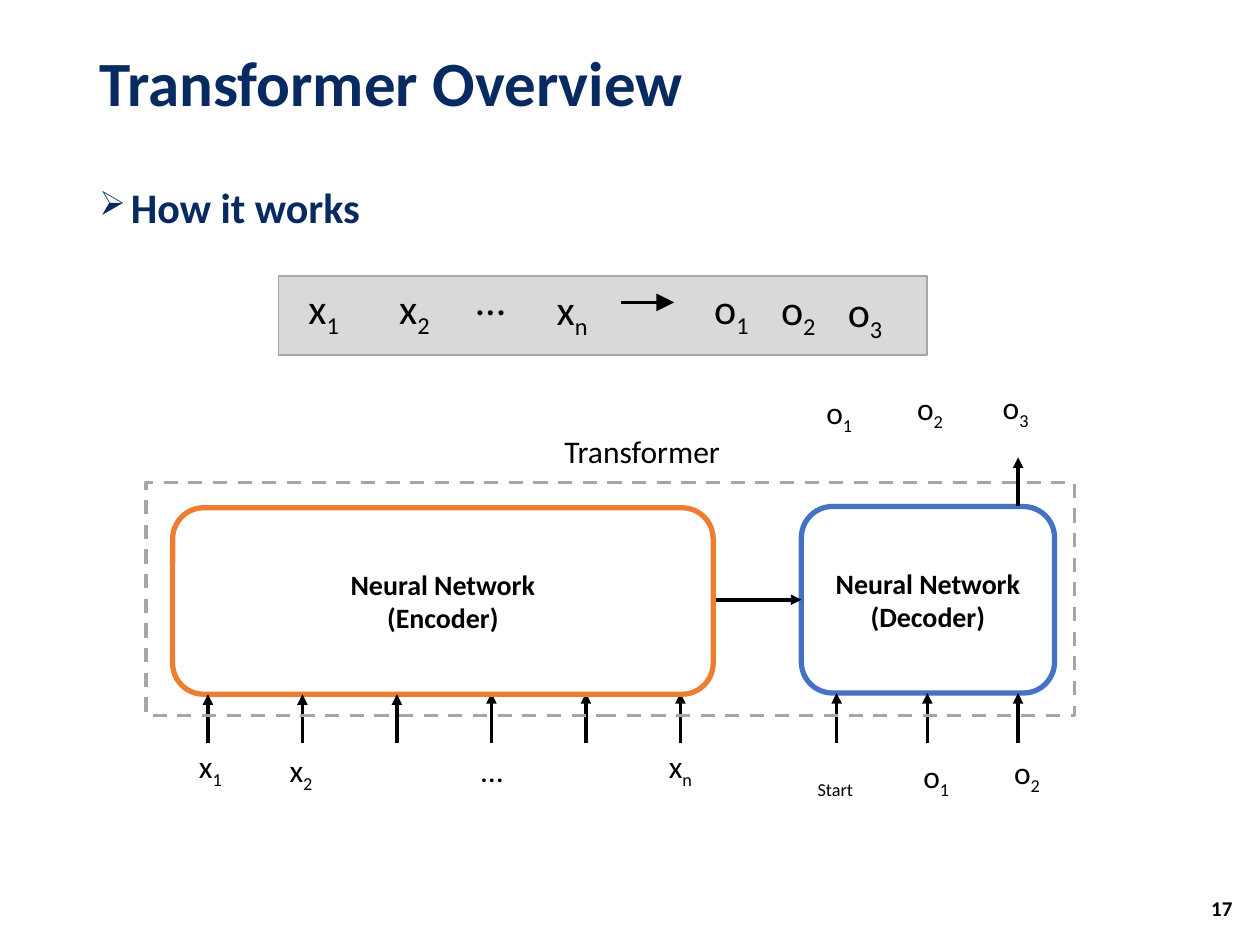
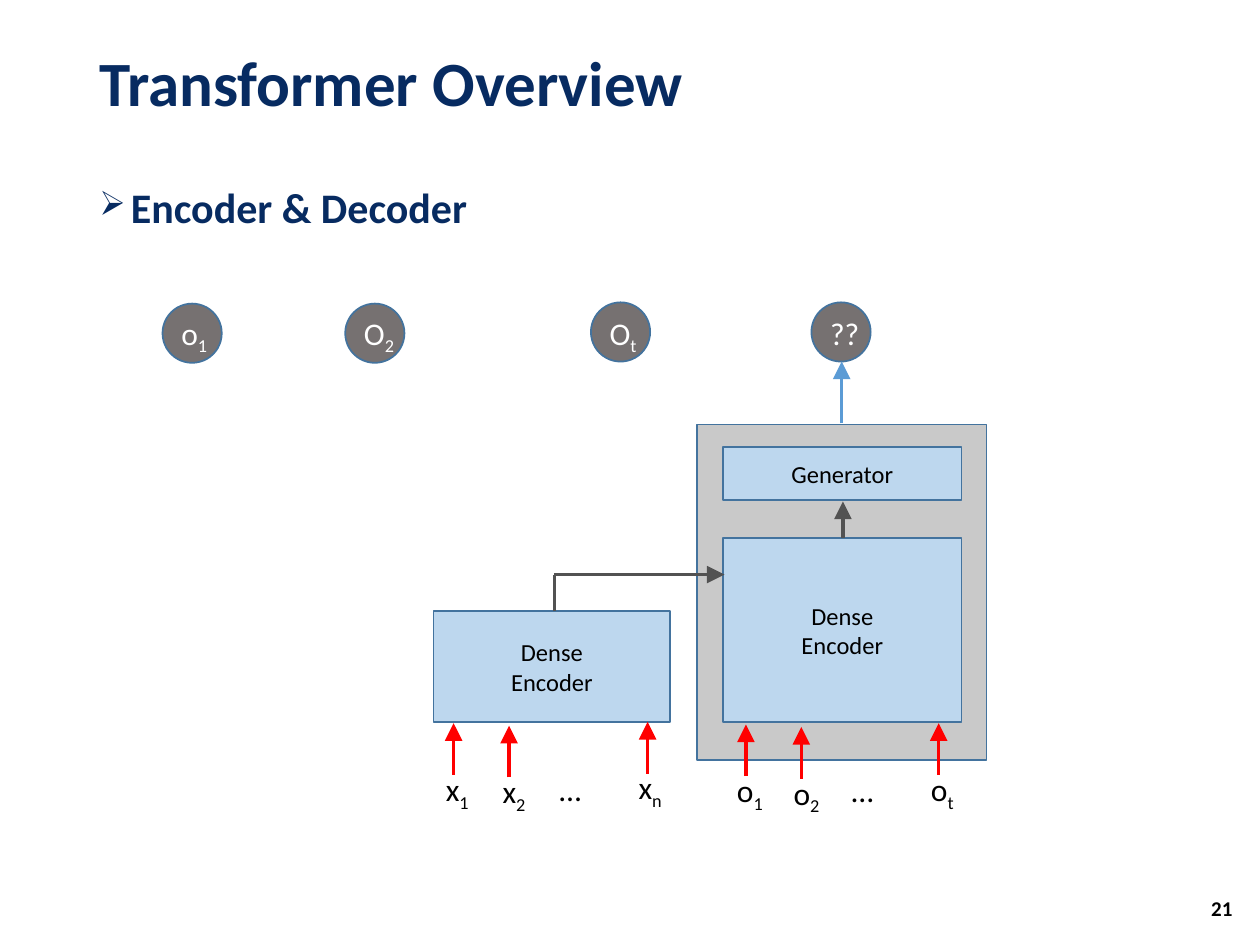
"""Build two slides that explain the transformer encoder and decoder."""
from lxml import etree
from pptx import Presentation
from pptx.dml.color import RGBColor
from pptx.enum.dml import MSO_LINE
from pptx.enum.shapes import MSO_CONNECTOR, MSO_SHAPE
from pptx.enum.text import MSO_ANCHOR, MSO_AUTO_SIZE, PP_ALIGN
from pptx.oxml.ns import qn
from pptx.util import Inches, Pt

RECT, ROUND, OVAL = MSO_SHAPE.RECTANGLE, MSO_SHAPE.ROUNDED_RECTANGLE, MSO_SHAPE.OVAL
STRAIGHT, DASH = MSO_CONNECTOR.STRAIGHT, MSO_LINE.DASH
TOP, MIDDLE = MSO_ANCHOR.TOP, MSO_ANCHOR.MIDDLE
LEFT, CENTER, RIGHT = PP_ALIGN.LEFT, PP_ALIGN.CENTER, PP_ALIGN.RIGHT
FIT = MSO_AUTO_SIZE.SHAPE_TO_FIT_TEXT


class Theme:
    font = "Calibri"
    title, heading, label, network, block, number = 36, 24, 18, 16, 14, 12
    thin, line, thick = 1, 2, 3
    navy, black, white, red = "072B61", "000000", "FFFFFF", "FF0000"
    orange, blue, sky, pale, edge = "ED7D31", "4472C4", "5B9BD5", "BDD7EE", "43739E"
    strip, panel, border, circle, dark = "D9D9D9", "C9C9C9", "A6A6A6", "767171", "525252"


def add_box(s, at, text="", size=Theme.label, color=Theme.black, bold=False, align=LEFT,
            anchor=TOP, wrap=False, shape=None, fill=None, line=None, width=Theme.thin):
    at = [Inches(v) for v in at]
    if shape is None:
        sp = s.shapes.add_textbox(*at)
    else:
        sp = s.shapes.add_shape(shape, *at)
        sp.shadow.inherit = False
        sp.line.color.rgb = RGBColor.from_string(line)
        sp.line.width = Pt(width)
        if fill:
            sp.fill.solid()
            sp.fill.fore_color.rgb = RGBColor.from_string(fill)
        else:
            sp.fill.background()
    tf = sp.text_frame
    tf.word_wrap = wrap
    tf.vertical_anchor = anchor
    if not wrap and shape is None:
        tf.auto_size = FIT
    for i, row in enumerate(text.split("\n") if text else []):
        p = tf.add_paragraph() if i else tf.paragraphs[0]
        p.alignment = align
        for j, part in enumerate(row.split("_")):
            if not part:
                continue
            r = p.add_run()
            r.text = part
            r.font.name, r.font.size, r.font.bold = Theme.font, Pt(size), bold
            r.font.color.rgb = RGBColor.from_string(color)
            if j:
                r.font._element.set("baseline", "-25000")
    return sp


def add_line(s, start, end, color=Theme.black, head="med"):
    ln = s.shapes.add_connector(STRAIGHT, *[Inches(v) for v in (*start, *end)])
    ln.line.color.rgb = RGBColor.from_string(color)
    ln.line.width = Pt(Theme.line)
    if head:
        etree.SubElement(ln.line._ln, qn("a:tailEnd"), type="triangle", w=head, len=head)
    etree.SubElement(ln._element.spPr, qn("a:effectLst"))


prs = Presentation()
prs.slide_width, prs.slide_height = Inches(10), Inches(7.5)
slides = []
for heading, number in (("How it works", "17"), ("Encoder & Decoder", "21")):
    s = prs.slides.add_slide(prs.slide_layouts[6])
    sp = add_box(s, (0.69, 0.18, 8.62, 1.01), "Transformer Overview", Theme.title,
                 Theme.navy, True, anchor=MIDDLE, wrap=True)
    sp.text_frame.paragraphs[0].line_spacing = 0.9
    sp = add_box(s, (0.69, 1.44, 8.62, 5.44), heading, Theme.heading, Theme.navy, True, wrap=True)
    p = sp.text_frame.paragraphs[0]
    p.line_spacing, p.space_before = 0.9, Pt(10)
    pPr = p._p.get_or_add_pPr()
    pPr.set("marL", str(Inches(0.25)))
    pPr.set("indent", str(Inches(-0.25)))
    etree.SubElement(pPr, qn("a:buSzPct"), val="80000")
    etree.SubElement(pPr, qn("a:buChar"), char="➢")
    add_box(s, (9.36, 7.01, 0.52, 0.4), number, Theme.number, bold=True, align=RIGHT,
            anchor=MIDDLE, wrap=True)
    slides.append(s)
overview, detail = slides

network = dict(size=Theme.network, bold=True, align=CENTER, anchor=MIDDLE, wrap=True,
               shape=ROUND, fill=Theme.white, width=Theme.thick)
input_xs = [1.65 + 0.75 * i for i in range(6)]
add_box(overview, (6.36, 4.02, 2.01, 1.48), "Neural Network\n(Decoder)", line=Theme.blue, **network)
for x in input_xs[3:] + [6.64, 7.36, 8.08]:
    add_line(overview, (x, 5.9), (x, 5.5))
add_line(overview, (5.66, 4.76), (6.36, 4.76))
add_line(overview, (8.08, 4.02), (8.08, 3.63))
add_box(overview, (1.37, 4.03, 4.29, 1.48), "Neural Network\n(Encoder)", line=Theme.orange, **network)
for x in input_xs[:3]:
    add_line(overview, (x, 5.9), (x, 5.51))

add_box(overview, (1.16, 3.83, 7.37, 1.85), shape=RECT, line=Theme.border,
        width=Theme.line).line.dash_style = DASH
add_box(overview, (2.21, 2.19, 5.15, 0.63), shape=RECT, fill=Theme.strip, line=Theme.border)
add_line(overview, (4.93, 2.4), (5.35, 2.4), head="lg")
for text, x, y, w in (("x_1", 2.35, 2.19, 0.46), ("x_2", 3.07, 2.19, 0.46), ("…", 3.68, 2.12, 0.44),
                      ("x_n", 4.32, 2.2, 0.46), ("o_1", 5.57, 2.19, 0.49),
                      ("o_2", 6.1, 2.2, 0.49), ("o_3", 6.63, 2.22, 0.49)):
    add_box(overview, (x, y, w, 0.5), text, Theme.heading)
for text, x, y, w in (("x_1", 1.48, 5.88, 0.41), ("x_2", 2.2, 5.91, 0.41), ("…", 3.72, 5.91, 0.45),
                      ("x_n", 5.21, 5.88, 0.41), ("_Start", 6.39, 5.96, 0.53),
                      ("o_1", 7.23, 5.96, 0.42), ("o_2", 7.95, 5.93, 0.42),
                      ("o_1", 6.46, 3.07, 0.42), ("o_2", 7.18, 3.04, 0.42),
                      ("o_3", 7.86, 3.03, 0.42), ("Transformer", 4.38, 3.38, 1.45)):
    add_box(overview, (x, y, w, 0.4), text)

add_box(detail, (5.53, 3.37, 2.3, 2.66), shape=RECT, fill=Theme.panel, line=Theme.edge)
for text, x, y, w in (("o_1", 1.29, 2.41, 0.42), ("O_2", 2.74, 2.41, 0.45),
                      ("O_t", 4.69, 2.4, 0.42), ("??", 6.44, 2.4, 0.44)):
    add_box(detail, (x, y, 0.47, 0.47), shape=OVAL, fill=Theme.circle, line=Theme.edge)
    add_box(detail, (x + 0.05, 2.44, w, 0.4), text, color=Theme.white)
for text, *at in (("Dense\nEncoder", 3.44, 4.85, 1.88, 0.88),
                  ("Dense\nEncoder", 5.74, 4.27, 1.89, 1.46),
                  ("Generator", 5.74, 3.55, 1.89, 0.42)):
    add_box(detail, at, text, Theme.block, align=CENTER, anchor=MIDDLE, wrap=True,
            shape=RECT, fill=Theme.pale, line=Theme.edge)
for text, x, y, w, arrow_x in (("x_1", 3.44, 6.06, 0.4, 3.6), ("x_2", 3.89, 6.08, 0.4, 4.04),
                               ("x_n", 4.97, 6.05, 0.4, 5.14), ("o_1", 5.75, 6.07, 0.42, 5.92),
                               ("o_2", 6.2, 6.09, 0.42, 6.36), ("o_t", 7.29, 6.06, 0.39, 7.45)):
    add_box(detail, (x, y, w, 0.4), text)
    add_line(detail, (arrow_x, y + 0.09), (arrow_x, y - 0.32), Theme.red, "lg")
for x, y in ((4.34, 6.06), (6.66, 6.07)):
    add_box(detail, (x, y, 0.45, 0.4), "…")
for start, end, color, head in (((6.68, 3.36), (6.68, 2.87), Theme.sky, "lg"),
                                ((6.69, 4.27), (6.69, 3.98), Theme.dark, "lg"),
                                ((4.4, 4.85), (4.4, 4.56), Theme.dark, None),
                                ((4.4, 4.56), (5.75, 4.56), Theme.dark, "lg")):
    add_line(detail, start, end, color, head)

prs.save("out.pptx")
